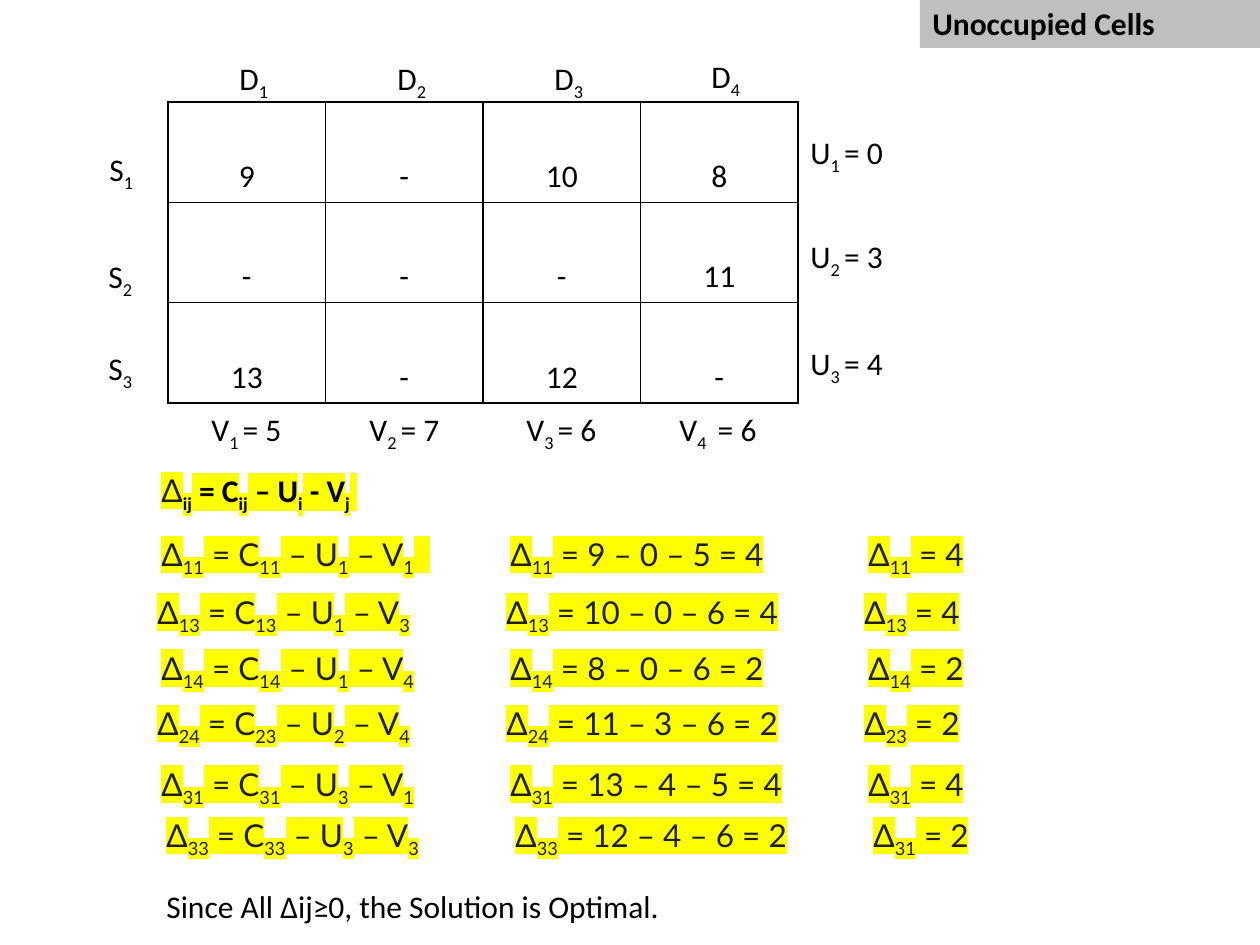
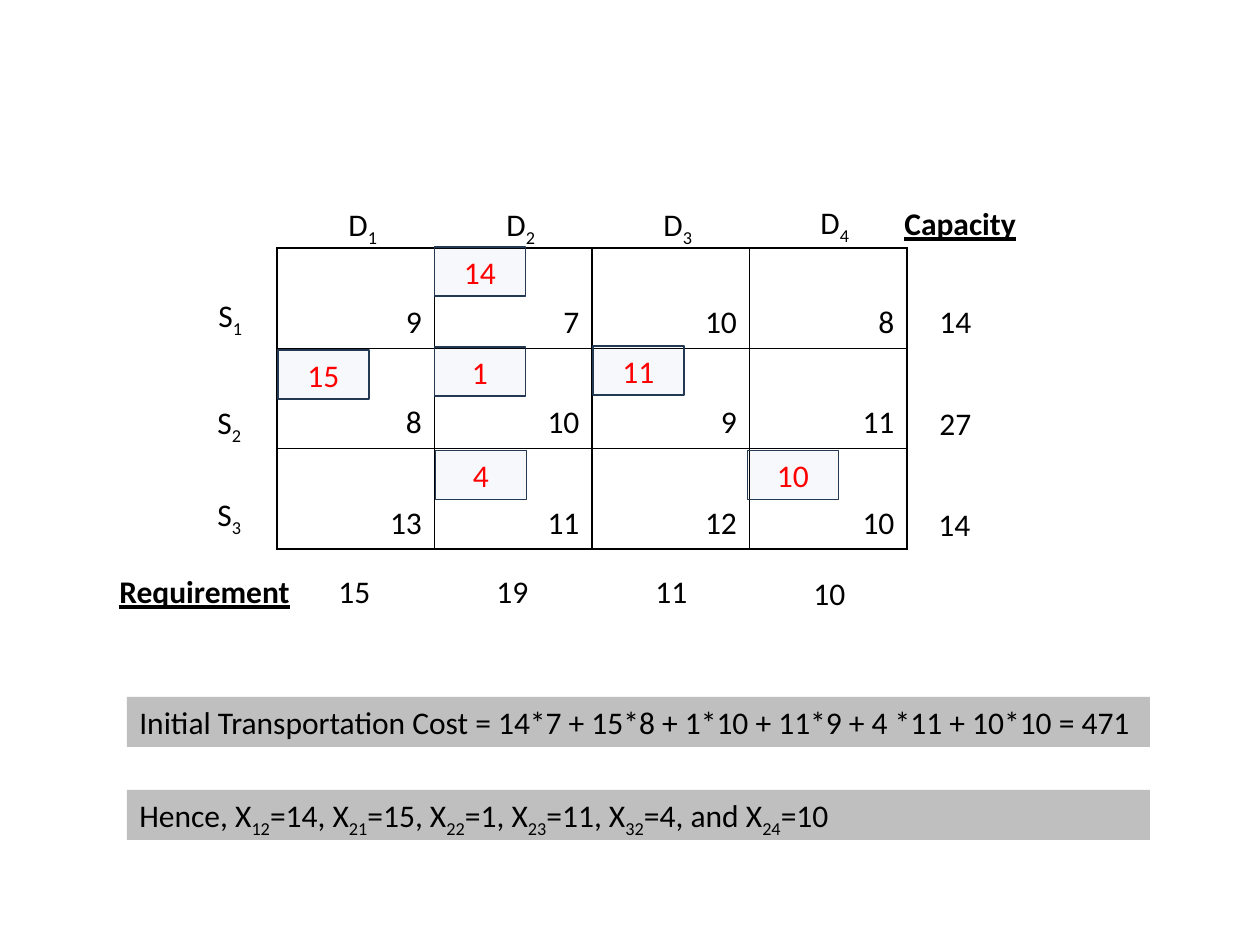
from lxml import etree
from pptx import Presentation
from pptx.dml.color import RGBColor
from pptx.enum.shapes import MSO_SHAPE
from pptx.enum.text import MSO_ANCHOR, MSO_AUTO_SIZE, PP_ALIGN
from pptx.oxml.ns import qn
from pptx.util import Emu, Pt

RECT = MSO_SHAPE.RECTANGLE
LEFT, CENTER, RIGHT = PP_ALIGN.LEFT, PP_ALIGN.CENTER, PP_ALIGN.RIGHT
TOP, MIDDLE, BOTTOM = MSO_ANCHOR.TOP, MSO_ANCHOR.MIDDLE, MSO_ANCHOR.BOTTOM
FIT = MSO_AUTO_SIZE.SHAPE_TO_FIT_TEXT

# Shared look
PX = 914400 / 126
BLACK, RED, YELLOW, BAND_GREY = "000000", "FF0000", "FFFF00", "BFBFBF"
BOX_BLUE, BOX_EDGE = "4F81BD", "233953"
PLAIN = {"name": "Calibri", "size": Pt(18), "color": BLACK}
BOLD = {**PLAIN, "bold": True}
HEADING = {**BOLD, "underline": True}
ALLOTTED = {**PLAIN, "color": RED}
MARKED = {**PLAIN, "name": "Lato", "color": "1F1F1F", "highlight": YELLOW}
MARKED_BOLD = {**BOLD, "highlight": YELLOW}
GRID_W, GRID_H, LINE_H = 630, 301, 50

# Labels around both grids, offset from the grid's corner; [..] is a subscript
GRID_LABELS = [
    ("S[1]", -71, 42, 52), ("S[2]", -72, 149, 52), ("S[3]", -72, 241, 52),
    ("D[1]", 59, -49, 68), ("D[2]", 217, -49, 68),
    ("D[3]", 374, -49, 68), ("D[4]", 531, -51, 68),
]

# Slide 1: check of optimality
CHECK_AT = (168, 102)
CHECK_COSTS = [["9", "-", "10", "8"], ["-", "-", "-", "11"], ["13", "-", "12", "-"]]
POTENTIALS = [
    ("U[1 ]= 0", 798, 127), ("U[2 ]= 3", 798, 231), ("U[3 ]= 4", 798, 338),
    ("V[1 ]= 5", 199, 404), ("V[2 ]= 7", 357, 404),
    ("V[3 ]= 6", 514, 404), ("V[4 ] = 6", 667, 404),
]
RULE_HEAD, RULE_TAIL = "Δ", "[ij] = C[ij] – U[i] - V[j] "
DELTA_COLUMNS = [(149, 357), (498, 311), (856, 147)]
DELTAS = [  # top, shift to the right, formula, figures, result
    (529, 0, "Δ[11] = C[11] – U[1] – V[1]  ", "Δ[11] = 9 – 0 – 5 = 4", "Δ[11] = 4"),
    (587, -4, "Δ[13] = C[13] – U[1] – V[3]", "Δ[13] = 10 – 0 – 6 = 4", "Δ[13] = 4"),
    (643, 0, "Δ[14] = C[14] – U[1] – V[4]", "Δ[14] = 8 – 0 – 6 = 2", "Δ[14] = 2"),
    (698, -4, "Δ[24] = C[23] – U[2] – V[4]", "Δ[24] = 11 – 3 – 6 = 2", "Δ[23] = 2"),
    (759, 0, "Δ[31] = C[31] – U[3] – V[1]", "Δ[31] = 13 – 4 – 5 = 4", "Δ[31] = 4"),
    (810, 5, "Δ[33] = C[33] – U[3] – V[3]", "Δ[33] = 12 – 4 – 6 = 2", "Δ[31] = 2"),
]
VERDICT = "Since All Δij≥0, the Solution is Optimal."

# Slide 2: initial allocation
PLAN_AT = (277, 248)
PLAN_COSTS = [["9", "7", "10", "8"], ["8", "10", "9", "11"], ["13", "11", "12", "10"]]
AMOUNTS = [
    ("14", 927, 296), ("27", 927, 398), ("14", 926, 499),
    ("15", 326, 566), ("19", 484, 566), ("11", 643, 566), ("10", 801, 568),
]
SIDE_HEADINGS = [("Capacity", 892, 198), ("Requirement", 107, 566)]
ALLOCATIONS = [  # amount, row, column, nudge from the cell's corner
    ("14", 0, 1, 0, -1), ("15", 1, 0, 1, 2), ("11", 1, 2, 1, -2),
    ("10", 2, 3, -2, 2), ("1", 1, 1, 0, -1), ("4", 2, 1, 1, 2),
]
CONCLUSIONS = [
    ("Initial Transportation Cost = 14*7 + 15*8 + 1*10 + 11*9 + 4 *11 + 10*10 = 471", 697),
    ("Hence, X[12]=14, X[21]=15, X[22]=1, X[23]=11, X[32]=4, and X[24]=10", 790),
]


def emu(*lengths):
    return [Emu(round(length * PX)) for length in lengths]


def rgb(color):
    return RGBColor.from_string(color)


def add_run(paragraph, text, style, subscript):
    run = paragraph.add_run()
    run.text = text
    for key, value in style.items():
        if key == "color":
            run.font.color.rgb = rgb(value)
        elif key != "highlight":
            setattr(run.font, key, value)
    props = run.font.fill._xPr
    if subscript:
        props.set("baseline", "-25000")
    if "highlight" in style:
        mark = etree.Element(qn("a:highlight"))
        etree.SubElement(mark, qn("a:srgbClr"), val=style["highlight"])
        props.find(qn("a:solidFill")).addnext(mark)


def write(frame, pieces, align=LEFT):
    """Fill a frame with (text, style) pieces."""
    paragraph = frame.paragraphs[0]
    paragraph.alignment = align
    for text, style in pieces:
        for i, part in enumerate(text.replace("]", "[").split("[")):
            if part:
                add_run(paragraph, part, style, i % 2 == 1)


def set_frame(frame, anchor=TOP, auto_size=FIT):
    frame.word_wrap = True
    frame.vertical_anchor = anchor
    frame.auto_size = auto_size


def add_text(slide, x, y, width, *pieces):
    frame = slide.shapes.add_textbox(*emu(x, y, width, LINE_H)).text_frame
    set_frame(frame)
    write(frame, pieces)


def add_box(slide, x, y, width, height, fill):
    box = slide.shapes.add_shape(RECT, *emu(x, y, width, height))
    box.shadow.inherit = False
    box.fill.solid()
    box.fill.fore_color.rgb = rgb(fill)
    return box


def add_band(slide, x, y, width, text, style):
    band = add_box(slide, x, y, width, LINE_H, BAND_GREY)
    band.line.fill.background()
    set_frame(band.text_frame)
    write(band.text_frame, [(text, style)])


def add_allocation(slide, x, y, amount):
    box = add_box(slide, x, y, 91, 49, BOX_BLUE)
    shade = box.fill._xPr.find(qn("a:solidFill"))[0]
    etree.SubElement(shade, qn("a:alpha"), val="5000")
    box.line.color.rgb = rgb(BOX_EDGE)
    box.line.width = Pt(1)
    set_frame(box.text_frame, MIDDLE, MSO_AUTO_SIZE.NONE)
    write(box.text_frame, [(amount, ALLOTTED)], CENTER)


def add_cost_grid(slide, corner, costs, align):
    x, y = corner
    grid = slide.shapes.add_table(
        len(costs), len(costs[0]), *emu(x, y, GRID_W, GRID_H)).table
    grid.first_row = grid.horz_banding = False
    for r, row in enumerate(costs):
        for c, cost in enumerate(row):
            cell = grid.cell(r, c)
            cell.vertical_anchor = BOTTOM
            props = cell._tc.get_or_add_tcPr()
            for side in "LRTB":
                edge = etree.SubElement(props, qn(f"a:ln{side}"), w=str(Pt(1)))
                ink = etree.SubElement(edge, qn("a:solidFill"))
                etree.SubElement(ink, qn("a:srgbClr"), val=BLACK)
            cell.fill.background()
            write(cell.text_frame, [(cost, PLAIN)], align)
    for label, dx, dy, width in GRID_LABELS:
        add_text(slide, x + dx, y + dy, width, (label, PLAIN))


def build_check(slide):
    add_cost_grid(slide, CHECK_AT, CHECK_COSTS, CENTER)
    for potential, x, y in POTENTIALS:
        add_text(slide, x, y, 131, (potential, PLAIN))
    add_text(slide, 149, 465, 798, (RULE_HEAD, MARKED), (RULE_TAIL, MARKED_BOLD))
    for y, shift, *steps in DELTAS:
        for (x, width), step in zip(DELTA_COLUMNS, steps):
            add_text(slide, x + shift, y, width, (step, MARKED))
    add_text(slide, 154, 881, 796, (VERDICT, PLAIN))
    add_band(slide, 920, -2, 340, "Unoccupied Cells", BOLD)


def build_plan(slide):
    add_cost_grid(slide, PLAN_AT, PLAN_COSTS, RIGHT)
    for amount, x, y in AMOUNTS:
        add_text(slide, x, y, 63, (amount, PLAIN))
    for heading, x, y in SIDE_HEADINGS:
        add_text(slide, x, y, 210, (heading, HEADING))
    left, top = PLAN_AT
    for amount, row, column, dx, dy in ALLOCATIONS:
        add_allocation(slide, left + column * GRID_W / 4 + dx,
                       top + row * GRID_H / 3 + dy, amount)
    for conclusion, y in CONCLUSIONS:
        add_band(slide, 127, y, 1023, conclusion, PLAIN)


def main():
    deck = Presentation()
    deck.slide_width, deck.slide_height = emu(1260, 945)
    for build in (build_check, build_plan):
        build(deck.slides.add_slide(deck.slide_layouts[6]))
    deck.save("out.pptx")


if __name__ == "__main__":
    main()
